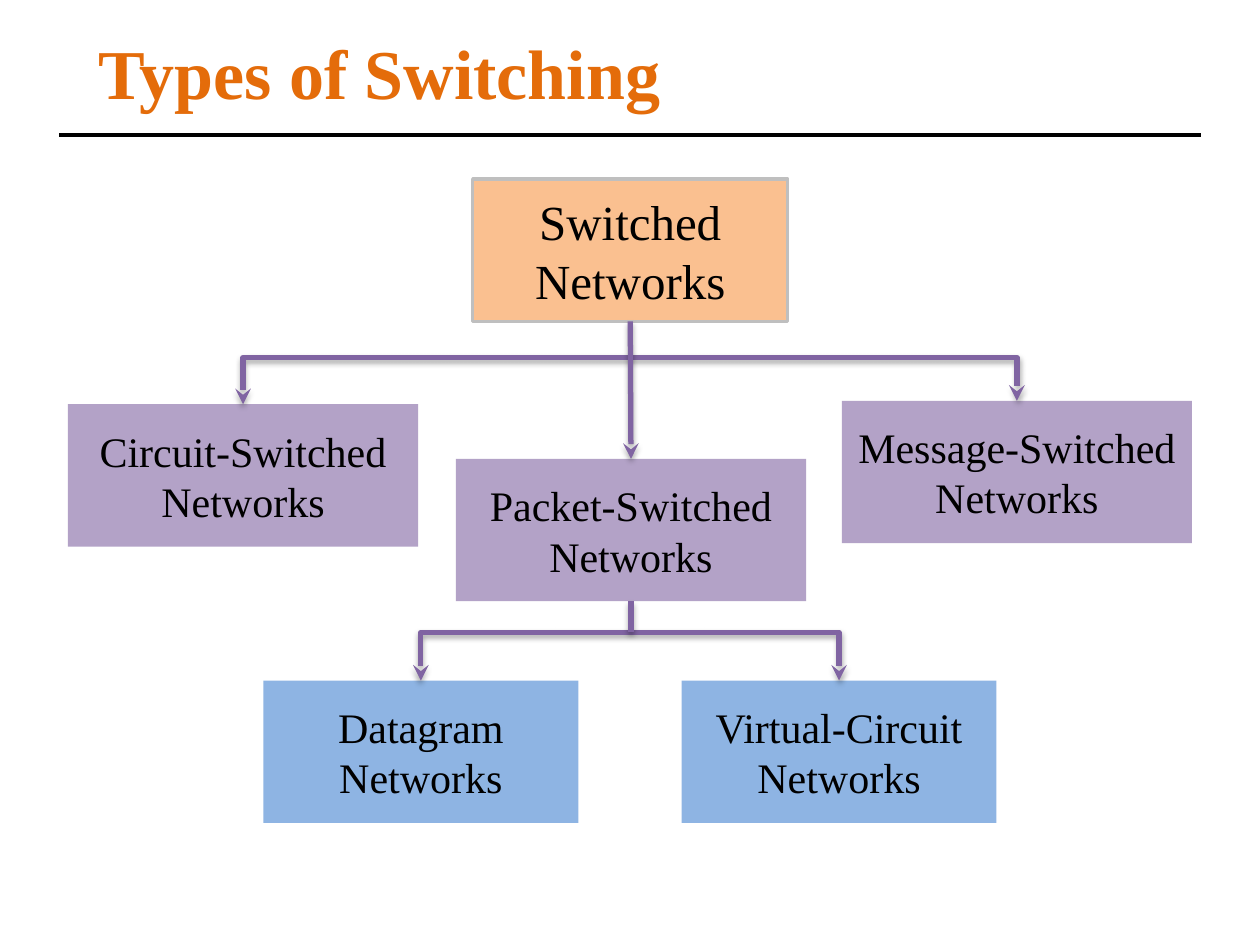
from dataclasses import dataclass

from lxml import etree
from pptx import Presentation
from pptx.dml.color import RGBColor
from pptx.enum.shapes import MSO_CONNECTOR, MSO_SHAPE
from pptx.enum.text import MSO_ANCHOR, MSO_AUTO_SIZE, PP_ALIGN
from pptx.oxml.ns import qn
from pptx.shapes.autoshape import Shape
from pptx.shapes.connector import Connector
from pptx.slide import Slide
from pptx.text.text import _Paragraph
from pptx.util import Cm, Pt

STRAIGHT = MSO_CONNECTOR.STRAIGHT
RECTANGLE = MSO_SHAPE.RECTANGLE
MIDDLE = MSO_ANCHOR.MIDDLE
CENTER = PP_ALIGN.CENTER
GROW = MSO_AUTO_SIZE.SHAPE_TO_FIT_TEXT
TOP, BOTTOM = 0, 2

FONT = "Times New Roman"
COLORS = {
    "title": "E46C0A",
    "text": "000000",
    "rule": "000000",
    "root": "FAC090",
    "root_border": "BFBFBF",
    "type": "B3A2C7",
    "subtype": "8EB4E3",
    "arrow": "8064A2",
    "shadow": "000000",
}
BOX_HEIGHT = 2.87
BOX_WIDTHS = {"root": 6.35, "type": 7.06, "subtype": 6.35}
TEXT_SIZES = {"root": 28, "type": 24, "subtype": 24}
TYPE_BUS = 7.21
SUBTYPE_BUS = 12.75


@dataclass
class NetworkBox:
    """A box of the tree; left and top are in centimetres."""
    lines: tuple[str, ...]
    level: str
    left: float
    top: float

    @property
    def center(self) -> float:
        return self.left + BOX_WIDTHS[self.level] / 2


SWITCHED = NetworkBox(("Switched Networks",), "root", 9.53, 3.61)
MESSAGE = NetworkBox(("Message-Switched Networks",), "type", 16.97, 8.08)
CIRCUIT = NetworkBox(("Circuit-Switched Networks",), "type", 1.37, 8.15)
PACKET = NetworkBox(("Packet-Switched Networks",), "type", 9.19, 9.25)
VIRTUAL = NetworkBox(("Virtual-Circuit", "Networks"), "subtype", 13.74, 13.72)
DATAGRAM = NetworkBox(("Datagram", "Networks"), "subtype", 5.31, 13.72)


def rgb(name: str) -> RGBColor:
    return RGBColor.from_string(COLORS[name])


def write_span(para: _Paragraph, text: str, size: int, color: str,
               bold: bool = False) -> None:
    span = para.add_run()
    span.text = text
    font_format = {"name": FONT, "size": Pt(size), "bold": bold}
    for attribute, value in font_format.items():
        setattr(span.font, attribute, value)
    span.font.color.rgb = rgb(color)


def draw_box(page: Slide, item: NetworkBox) -> Shape:
    box = page.shapes.add_shape(
        RECTANGLE, Cm(item.left), Cm(item.top),
        Cm(BOX_WIDTHS[item.level]), Cm(BOX_HEIGHT))
    box.shadow.inherit = False
    box.fill.solid()
    box.fill.fore_color.rgb = rgb(item.level)
    if item.level == "root":
        box.line.color.rgb = rgb("root_border")
        box.line.width = Pt(2)
    else:
        box.line.fill.background()
    frame = box.text_frame
    for attribute, value in {"word_wrap": True, "vertical_anchor": MIDDLE}.items():
        setattr(frame, attribute, value)
    for index, text in enumerate(item.lines):
        para = frame.add_paragraph() if index else frame.paragraphs[0]
        para.alignment = CENTER
        write_span(para, text, TEXT_SIZES[item.level], "text")
    return box


def style_arrow(line: Shape | Connector, ends: tuple[str, ...] = ()) -> None:
    """Give a line the arrow colour, stealth heads at the named ends and a soft shadow."""
    line.line.color.rgb = rgb("arrow")
    line.line.width = Pt(3)
    properties = line._element.spPr
    outline = properties.find(qn("a:ln"))
    for end in ends:
        etree.SubElement(outline, qn(f"a:{end}"), type="stealth")
    effects = etree.SubElement(properties, qn("a:effectLst"))
    shadow = etree.SubElement(
        effects, qn("a:outerShdw"), blurRad=str(Pt(3.1)), dist=str(Pt(1.8)),
        dir="5400000", rotWithShape="0")
    color = etree.SubElement(shadow, qn("a:srgbClr"), val=COLORS["shadow"])
    etree.SubElement(color, qn("a:alpha"), val="35000")


def draw_fork(page: Slide, left: NetworkBox, right: NetworkBox, bus: float) -> None:
    """Draw a bent line at height bus with an arrow down to each box."""
    builder = page.shapes.build_freeform(Cm(left.center), Cm(left.top))
    corners = [(left.center, bus), (right.center, bus), (right.center, right.top)]
    builder.add_line_segments([(Cm(x), Cm(y)) for x, y in corners], close=False)
    fork = builder.convert_to_shape()
    fork.fill.background()
    style_arrow(fork, ("headEnd", "tailEnd"))


def draw_title(page: Slide) -> None:
    rule = page.shapes.add_connector(STRAIGHT, Cm(1.19), Cm(2.72), Cm(24.21), Cm(2.72))
    rule.line.color.rgb = rgb("rule")
    rule.line.width = Pt(2.25)
    etree.SubElement(rule._element.spPr, qn("a:effectLst"))
    title = page.shapes.add_textbox(Cm(1.73), Cm(0.48), Cm(21.95), Cm(1.96))
    for attribute, value in {"word_wrap": True, "auto_size": GROW}.items():
        setattr(title.text_frame, attribute, value)
    write_span(title.text_frame.paragraphs[0], "Types of Switching", 40, "title", True)


def main() -> None:
    deck = Presentation()
    deck.slide_width, deck.slide_height = Cm(25.4), Cm(19.05)
    page = deck.slides.add_slide(deck.slide_layouts[6])
    draw_title(page)

    for item in (VIRTUAL, DATAGRAM, MESSAGE, CIRCUIT):
        draw_box(page, item)
    switched_box = draw_box(page, SWITCHED)
    packet_box = draw_box(page, PACKET)

    draw_fork(page, CIRCUIT, MESSAGE, TYPE_BUS)
    trunk = page.shapes.add_connector(
        STRAIGHT, Cm(SWITCHED.center), Cm(SWITCHED.top + BOX_HEIGHT),
        Cm(PACKET.center), Cm(PACKET.top))
    trunk.begin_connect(switched_box, BOTTOM)
    trunk.end_connect(packet_box, TOP)
    style_arrow(trunk, ("tailEnd",))

    draw_fork(page, DATAGRAM, VIRTUAL, SUBTYPE_BUS)
    stem = page.shapes.add_connector(
        STRAIGHT, Cm(PACKET.center), Cm(PACKET.top + BOX_HEIGHT),
        Cm(PACKET.center), Cm(SUBTYPE_BUS))
    stem.begin_connect(packet_box, BOTTOM)
    style_arrow(stem)

    deck.save("out.pptx")


if __name__ == "__main__":
    main()
